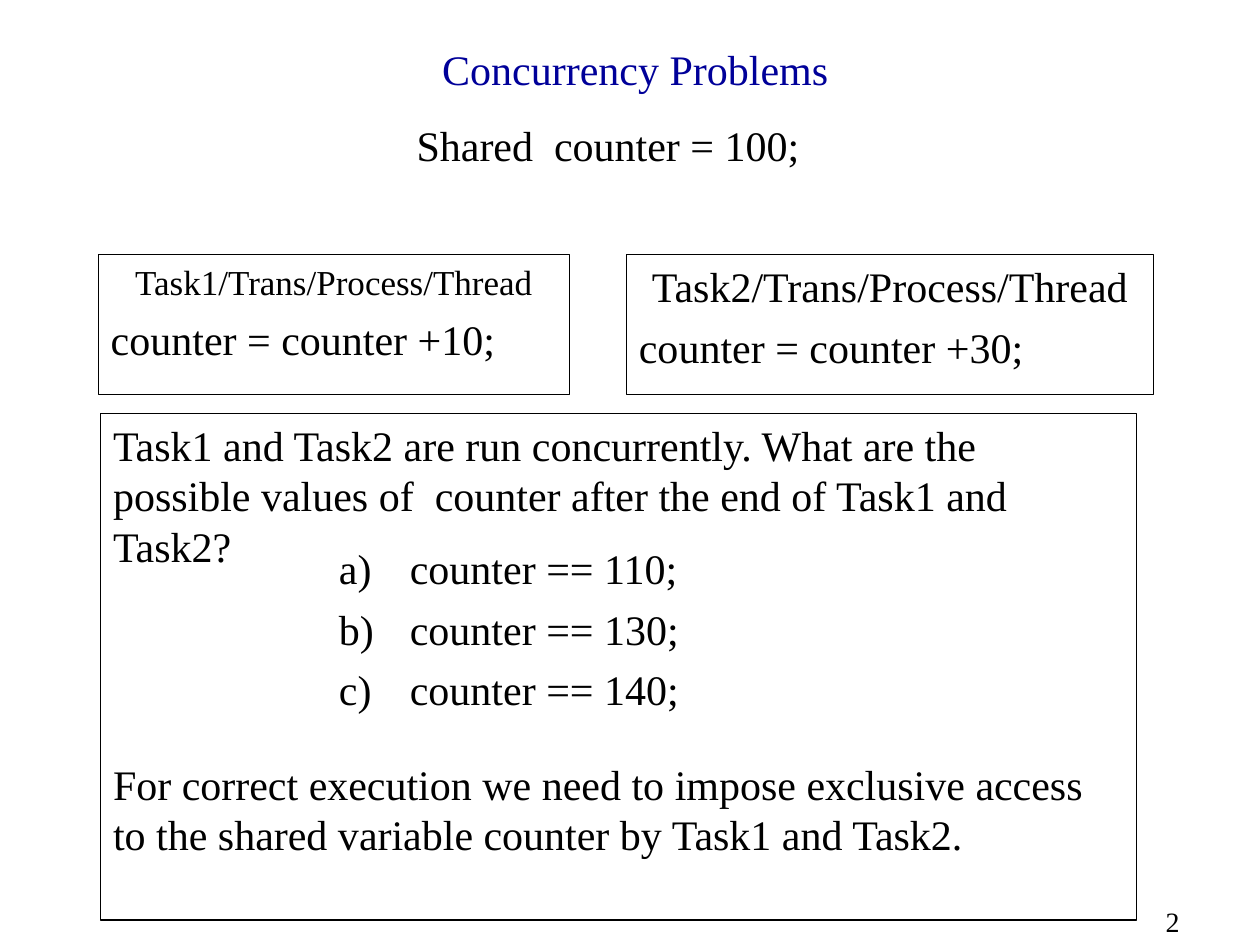
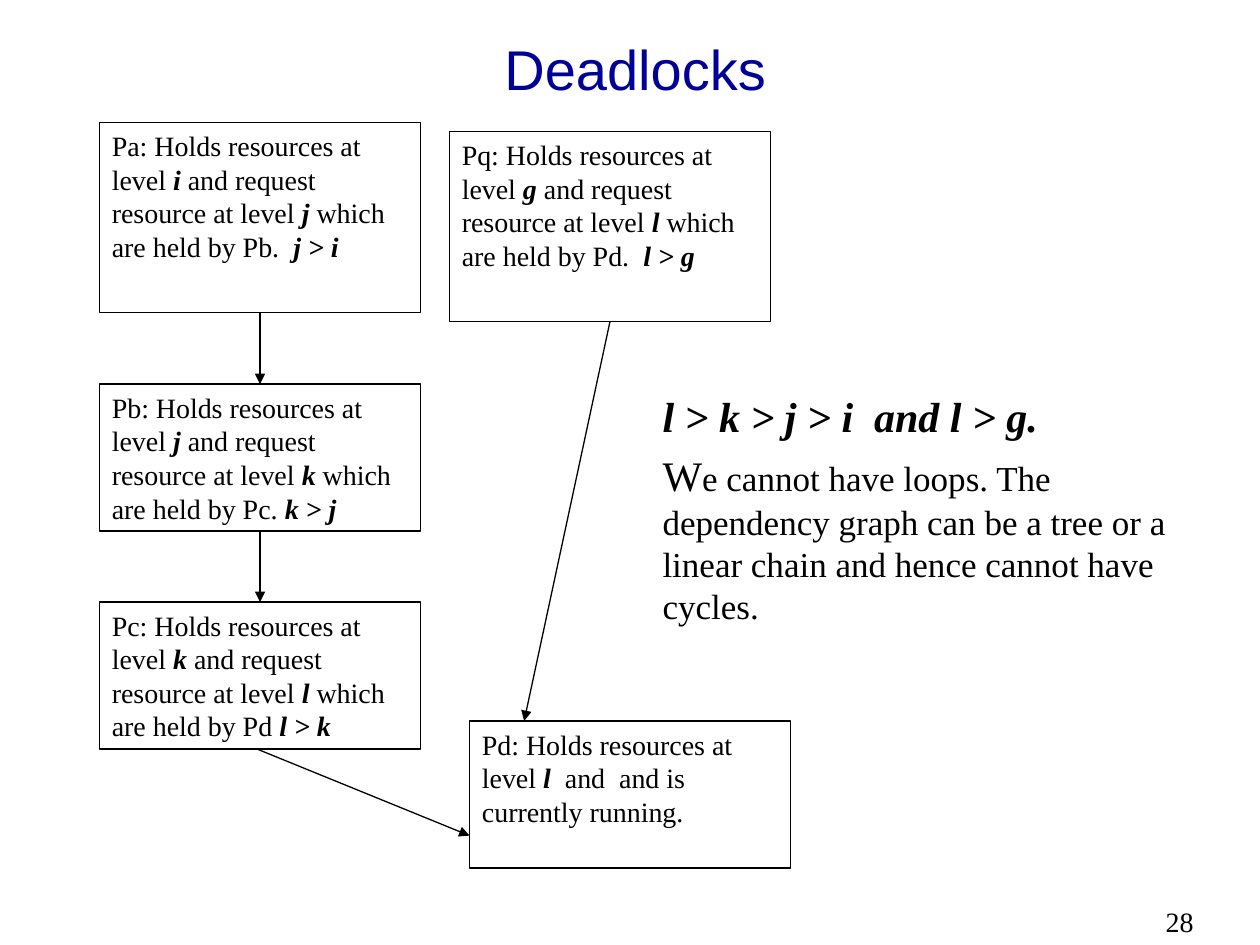
from typing import NamedTuple

from lxml.etree import SubElement
from pptx import Presentation
from pptx.dml.color import RGBColor
from pptx.enum.shapes import MSO_CONNECTOR as Connector, MSO_SHAPE as Preset
from pptx.enum.text import MSO_ANCHOR as Anchor, MSO_AUTO_SIZE as AutoSize, PP_ALIGN as Align
from pptx.oxml.ns import qn
from pptx.util import Pt

COLOURS = {"title": "000099", "ink": "000000"}
SERIF, SANS = "Times New Roman", "Arial"
LINE_WIDTH = 0.75
TITLE_AND_BODY, TITLE_ONLY = 1, 5


class Box(NamedTuple):
    left: float
    top: float
    width: float
    height: float

    def points(self):
        return [Pt(length) for length in self]

    def at(self, across, down):
        """Point at the given fractions of the width and height."""
        return self.left + across * self.width, self.top + down * self.height


SLIDE = Box(0, 0, 720, 540)


def colour(name):
    return RGBColor.from_string(COLOURS[name])


def format_font(font, size, name=SERIF, ink="ink"):
    font.size, font.name = Pt(size), name
    font.color.rgb = colour(ink)


def write(paragraph, text, size, align=Align.LEFT, before=0):
    """Fill a paragraph; parts between asterisks become bold italic."""
    paragraph.alignment = align
    paragraph.space_before = Pt(before)
    for index, part in enumerate(text.split("*")):
        if part:
            run = paragraph.add_run()
            run.text = part
            format_font(run.font, size)
            run.font.bold = run.font.italic = index % 2 == 1


def prepare_frame(shape, anchor=Anchor.TOP):
    frame = shape.text_frame
    frame.word_wrap = True
    frame.auto_size = AutoSize.NONE
    frame.vertical_anchor = anchor
    return frame


def place(shape, box):
    shape.left, shape.top, shape.width, shape.height = box.points()


def add_text(slide, box):
    return prepare_frame(slide.shapes.add_textbox(*box.points()))


def add_outlined_box(slide, box):
    shape = slide.shapes.add_shape(Preset.RECTANGLE, *box.points())
    shape.shadow.inherit = False
    shape.fill.background()
    shape.line.color.rgb = colour("ink")
    shape.line.width = Pt(LINE_WIDTH)
    return prepare_frame(shape)


def add_arrow(slide, start, end):
    arrow = slide.shapes.add_connector(Connector.STRAIGHT, *map(Pt, (*start, *end)))
    arrow.line.color.rgb = colour("ink")
    arrow.line.width = Pt(LINE_WIDTH)
    SubElement(arrow.line._get_or_add_ln(), qn("a:tailEnd"), type="triangle")
    SubElement(arrow._element.spPr, qn("a:effectLst"))


def add_slide(presentation, layout, title, size, font_name, number):
    """Add a slide with the shared title and page number."""
    slide = presentation.slides.add_slide(presentation.slide_layouts[layout])
    heading = slide.shapes.title
    place(heading, Box(57, 14, 612, 50))
    frame = prepare_frame(heading, Anchor.MIDDLE)
    frame.text = title
    frame.paragraphs[0].alignment = Align.CENTER
    format_font(frame.paragraphs[0].runs[0].font, size, font_name, "title")
    corner = add_text(slide, Box(SLIDE.width - 61, SLIDE.height - 26.7, 61, 26.7))
    write(corner.paragraphs[0], number, 16)
    return slide


def add_task(slide, box, heading, heading_size, statement):
    frame = add_outlined_box(slide, box)
    write(frame.paragraphs[0], heading, heading_size, Align.CENTER)
    write(frame.add_paragraph(), statement, 24, before=6)


def add_lettered_list(placeholder, box, items):
    place(placeholder, box)
    frame = prepare_frame(placeholder)
    for index, item in enumerate(items):
        paragraph = frame.add_paragraph() if index else frame.paragraphs[0]
        properties = paragraph._p.get_or_add_pPr()
        properties.set("marL", str(Pt(72)))
        properties.set("indent", str(Pt(-40.5)))
        SubElement(properties, qn("a:buFont"), typeface=SERIF)
        SubElement(properties, qn("a:buAutoNum"), type="alphaLcParenR")
        write(paragraph, item, 24, before=6 if index else 0)


def add_question(slide, box, question, answers, conclusion):
    """Outlined question and conclusion with the answers between them."""
    frame = add_outlined_box(slide, box)
    write(frame.paragraphs[0], question, 24)
    write(frame.add_paragraph(), conclusion, 24, before=107)
    answers_box = Box(box.left + 97.5, box.top + 70, 317.5, 106)
    add_lettered_list(slide.placeholders[1], answers_box, answers)


def build_concurrency(presentation):
    slide = add_slide(presentation, TITLE_AND_BODY, "Concurrency Problems", 24, SERIF, "2")
    shared = add_text(slide, Box(231, 64.6, 257, 45))
    write(shared.paragraphs[0], "Shared  counter = 100;", 24)
    add_task(slide, Box(56.2, 145.5, 269.3, 79.9),
             "Task1/Trans/Process/Thread", 20, "counter = counter +10;")
    add_task(slide, Box(358, 145.5, 301, 79.9),
             "Task2/Trans/Process/Thread", 24, "counter = counter +30;")
    add_question(
        slide, Box(57.5, 236.2, 591.8, 289.6),
        "Task1 and Task2 are run concurrently. What are the possible values of  counter "
        "after the end of Task1 and Task2?",
        [f"counter == {value};" for value in (110, 130, 140)],
        "For correct execution we need to impose exclusive access to the shared variable "
        "counter by Task1 and Task2.")


def add_dependency_graph(slide, area):
    tall, short, width = 108.7, 84, 183.6
    places = {
        "Pa": (0, 0, tall), "Pb": (0, 149.5, short), "Pc": (0, 274, short),
        "Pq": (200, 5, tall), "Pd": (211.5, 342, short),
    }
    texts = {
        "Pa": "Holds resources at level* i *and request resource at level *j *"
              "which are held by Pb.  *j > i*",
        "Pb": "Holds resources at level *j* and request resource at level *k *"
              "which are held by Pc. *k > j*",
        "Pc": "Holds resources at level *k* and request resource at level *l *"
              "which are held by Pd *l > k*",
        "Pq": "Holds resources at level* g *and request resource at level *l *"
              "which are held by Pd.  *l > g*",
        "Pd": "Holds resources at level *l * and  and is currently running.",
    }
    boxes = {name: Box(area.left + left, area.top + top, width, height)
             for name, (left, top, height) in places.items()}
    for name, box in boxes.items():
        write(add_outlined_box(slide, box).paragraphs[0], f"{name}: {texts[name]}", 16)

    arrows = [("Pa", 0.5, "Pb", (0.5, 0)), ("Pb", 0.5, "Pc", (0.5, 0)),
              ("Pq", 0.5, "Pd", (0.17, 0)), ("Pc", 0.49, "Pd", (0, 0.78))]
    for holder, across, target, entry in arrows:
        add_arrow(slide, boxes[holder].at(across, 1), boxes[target].at(*entry))


def add_conclusion(slide, box):
    frame = add_text(slide, box)
    write(frame.paragraphs[0], "*l > k > j > i  and l > g.*", 24)
    paragraph = frame.add_paragraph()
    write(paragraph, "W", 24, before=5)
    write(paragraph, "e cannot have loops. The dependency graph can be a tree or a linear "
          "chain and hence cannot have cycles.", 20, before=5)


def build_deadlocks(presentation):
    slide = add_slide(presentation, TITLE_ONLY, "Deadlocks", 32, SANS, "28")
    add_dependency_graph(slide, Box(56.8, 70, 395, 426))
    add_conclusion(slide, Box(371.5, 219.6, 306, 258))


def main():
    presentation = Presentation()
    presentation.slide_width, presentation.slide_height = Pt(SLIDE.width), Pt(SLIDE.height)
    build_concurrency(presentation)
    build_deadlocks(presentation)
    presentation.save("out.pptx")


if __name__ == "__main__":
    main()
